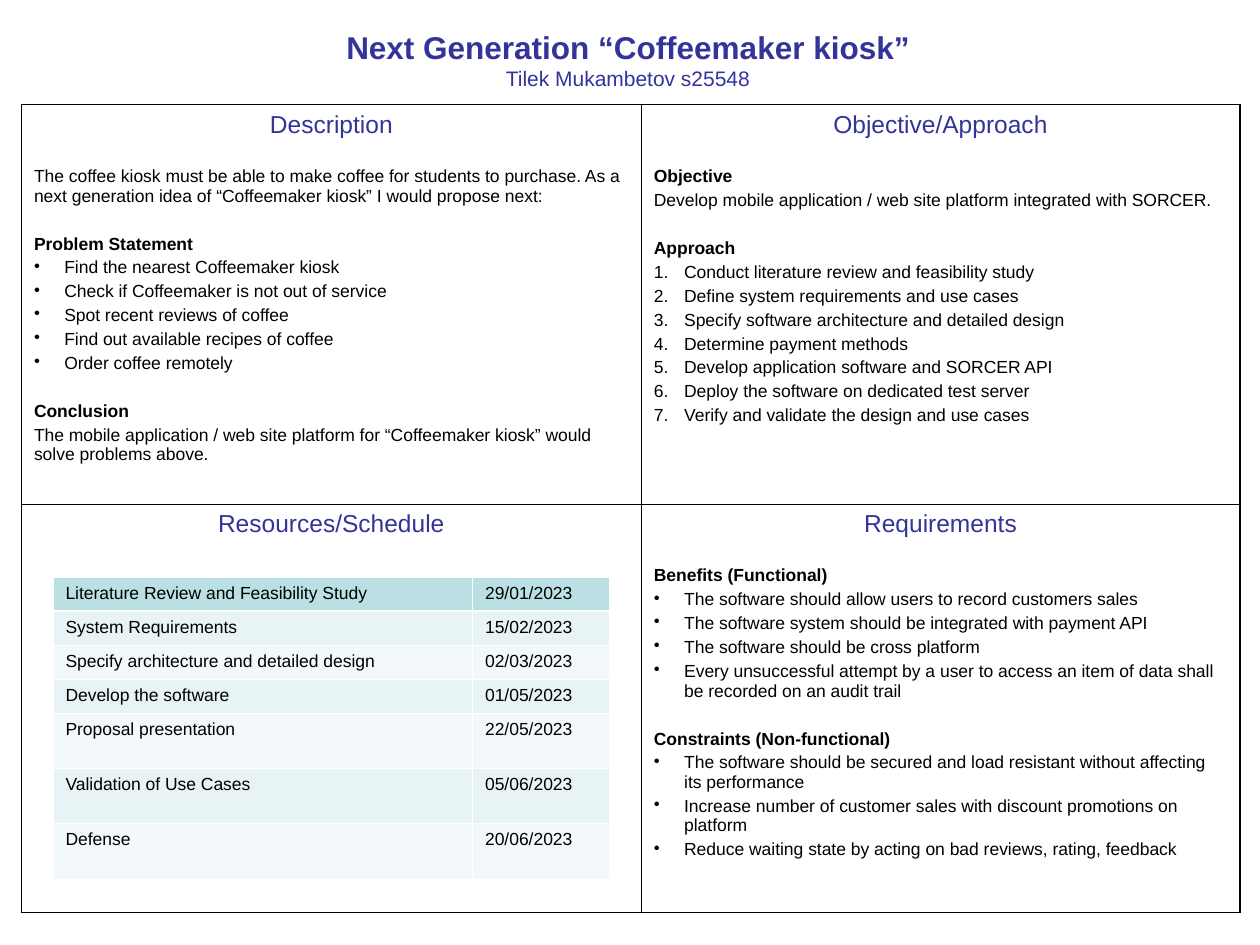
import dataclasses

import lxml.etree
import pptx
import pptx.dml.color
import pptx.enum.text
import pptx.oxml.ns
import pptx.util

Inches = pptx.util.Inches
Pt = pptx.util.Pt
RGB = pptx.dml.color.RGBColor.from_string
CENTER = pptx.enum.text.PP_ALIGN.CENTER


@dataclasses.dataclass(frozen=True)
class Theme:
    font: str = "Arial"
    heading: str = "333399"
    ink: str = "000000"
    grid: str = "FFFFFF"
    header_fill: str = "BBE0E3"
    bands: tuple = ("E7F3F4", "F3F9FA")
    title_size: float = 18
    author_size: float = 12
    heading_size: float = 14
    body_size: float = 10
    line_gap: float = 2.5
    section_gap: float = 16.2
    thin: float = 0.45
    outer: float = 1.08
    header_rule: float = 1.47


THEME = Theme()
NUMBERED = ("buAutoNum", {"type": "arabicPeriod"})
BULLETED = ("buChar", {"char": "•"})

# Each section: optional heading, list marker, lines of text
DESCRIPTION = [
    (None, None, ["The coffee kiosk must be able to make coffee for students to purchase. "
                  "As a next generation idea of “Coffeemaker kiosk” I would propose next:"]),
    ("Problem Statement", BULLETED, [
        "Find the nearest Coffeemaker kiosk",
        "Check if Coffeemaker is not out of service",
        "Spot recent reviews of coffee",
        "Find out available recipes of coffee",
        "Order coffee remotely"]),
    ("Conclusion", None, ["The mobile application / web site platform for “Coffeemaker kiosk” "
                          "would solve problems above."]),
]
APPROACH = [
    ("Objective", None, ["Develop mobile application / web site platform integrated with SORCER."]),
    ("Approach", NUMBERED, [
        "Conduct literature review and feasibility study",
        "Define system requirements and use cases",
        "Specify software architecture and detailed design",
        "Determine payment methods",
        "Develop application software and SORCER API",
        "Deploy the software on dedicated test server",
        "Verify and validate the design and use cases"]),
]
REQUIREMENTS = [
    ("Benefits (Functional)", BULLETED, [
        "The software should allow users to record customers sales",
        "The software system should be integrated with payment API",
        "The software should be cross platform",
        "Every unsuccessful attempt by a user to access an item of data shall "
        "be recorded on an audit trail"]),
    ("Constraints (Non-functional)", BULLETED, [
        "The software should be secured and load resistant without affecting its performance",
        "Increase number of customer sales with discount promotions on platform",
        "Reduce waiting state by acting on bad reviews, rating, feedback"]),
]
QUADRANTS = [
    [("Description", DESCRIPTION), ("Objective/Approach", APPROACH)],
    [("Resources/Schedule", []), ("Requirements", REQUIREMENTS)],
]
SCHEDULE = [
    ("Literature Review and Feasibility Study", "29/01/2023"),
    ("System Requirements", "15/02/2023"),
    ("Specify architecture and detailed design", "02/03/2023"),
    ("Develop the software", "01/05/2023"),
    ("Proposal presentation", "22/05/2023"),
    ("Validation of Use Cases", "05/06/2023"),
    ("Defense", "20/06/2023"),
]


def write(frame, text, *, size=THEME.body_size, color=THEME.ink, bold=False,
          align=None, before=0, marker=None):
    """Add a paragraph, using the frame's empty first one when it is free."""
    first = frame.paragraphs[0]
    line = frame.add_paragraph() if first.runs else first
    line.alignment = align
    if before:
        line.space_before = Pt(before)
    if marker:
        tag, attributes = marker
        properties = line._p.get_or_add_pPr()
        properties.set("marL", str(Inches(0.24)))
        properties.set("indent", str(-Inches(0.24)))
        lxml.etree.SubElement(properties, pptx.oxml.ns.qn("a:" + tag), attributes)
    run = line.add_run()
    run.text = text
    run.font.name = THEME.font
    run.font.size = Pt(size)
    run.font.bold = bold
    run.font.color.rgb = RGB(color)


def set_borders(cell, color, left, right, top, bottom):
    properties = cell._tc.get_or_add_tcPr()
    widths = {"lnL": left, "lnR": right, "lnT": top, "lnB": bottom}
    for place, (side, width) in enumerate(widths.items()):
        border = lxml.etree.Element(pptx.oxml.ns.qn("a:" + side), w=str(Pt(width)))
        fill = lxml.etree.SubElement(border, pptx.oxml.ns.qn("a:solidFill"))
        lxml.etree.SubElement(fill, pptx.oxml.ns.qn("a:srgbClr"), val=color)
        properties.insert(place, border)


def add_grid(slide, left, top, widths, heights):
    grid = slide.shapes.add_table(
        len(heights), len(widths), Inches(left), Inches(top),
        Inches(sum(widths)), Inches(sum(heights))).table
    grid.first_row = grid.horz_banding = False
    for column, width in zip(grid.columns, widths):
        column.width = Inches(width)
    for row, height in zip(grid.rows, heights):
        row.height = Inches(height)
    return grid


def add_title(slide):
    title = slide.shapes.add_textbox(
        Inches(0.82), Inches(0.17), Inches(8.33), Inches(0.6)).text_frame
    title.word_wrap = True
    write(title, "Next Generation “Coffeemaker kiosk”", size=THEME.title_size,
          color=THEME.heading, bold=True, align=CENTER)
    write(title, "Tilek Mukambetov s25548", size=THEME.author_size,
          color=THEME.heading, align=CENTER)


def fill_quadrant(frame, heading, sections):
    write(frame, heading, size=THEME.heading_size, color=THEME.heading, align=CENTER)
    for subheading, marker, lines in sections:
        gap = THEME.section_gap
        if subheading:
            write(frame, subheading, bold=True, before=gap)
            gap = THEME.line_gap
        for line in lines:
            write(frame, line, before=gap, marker=marker)


def add_quadrants(slide):
    quadrants = add_grid(slide, 0.17, 0.83, [4.92, 4.75], [3.17, 3.24])
    for r, row in enumerate(QUADRANTS):
        for c, (heading, sections) in enumerate(row):
            cell = quadrants.cell(r, c)
            cell.fill.background()
            set_borders(cell, THEME.ink,
                        left=THEME.thin if c else THEME.outer,
                        right=THEME.outer if c else THEME.thin,
                        top=THEME.thin if r else THEME.outer,
                        bottom=THEME.thin)
            fill_quadrant(cell.text_frame, heading, sections)


def add_schedule(slide):
    schedule = add_grid(slide, 0.42, 4.58, [3.33, 1.09], [0.27] * 4 + [0.44] * 3)
    for r, row in enumerate(SCHEDULE):
        shade = THEME.bands[(r - 1) % 2] if r else THEME.header_fill
        for c, text in enumerate(row):
            cell = schedule.cell(r, c)
            cell.fill.solid()
            cell.fill.fore_color.rgb = RGB(shade)
            set_borders(cell, THEME.grid, THEME.thin, THEME.thin,
                        top=THEME.header_rule if r == 1 else THEME.thin,
                        bottom=THEME.header_rule if r == 0 else THEME.thin)
            write(cell.text_frame, text)


def main():
    deck = pptx.Presentation()
    deck.slide_width, deck.slide_height = Inches(10), Inches(7.5)
    slide = deck.slides.add_slide(deck.slide_layouts[6])
    add_title(slide)
    add_quadrants(slide)
    add_schedule(slide)
    deck.save("out.pptx")


if __name__ == "__main__":
    main()
